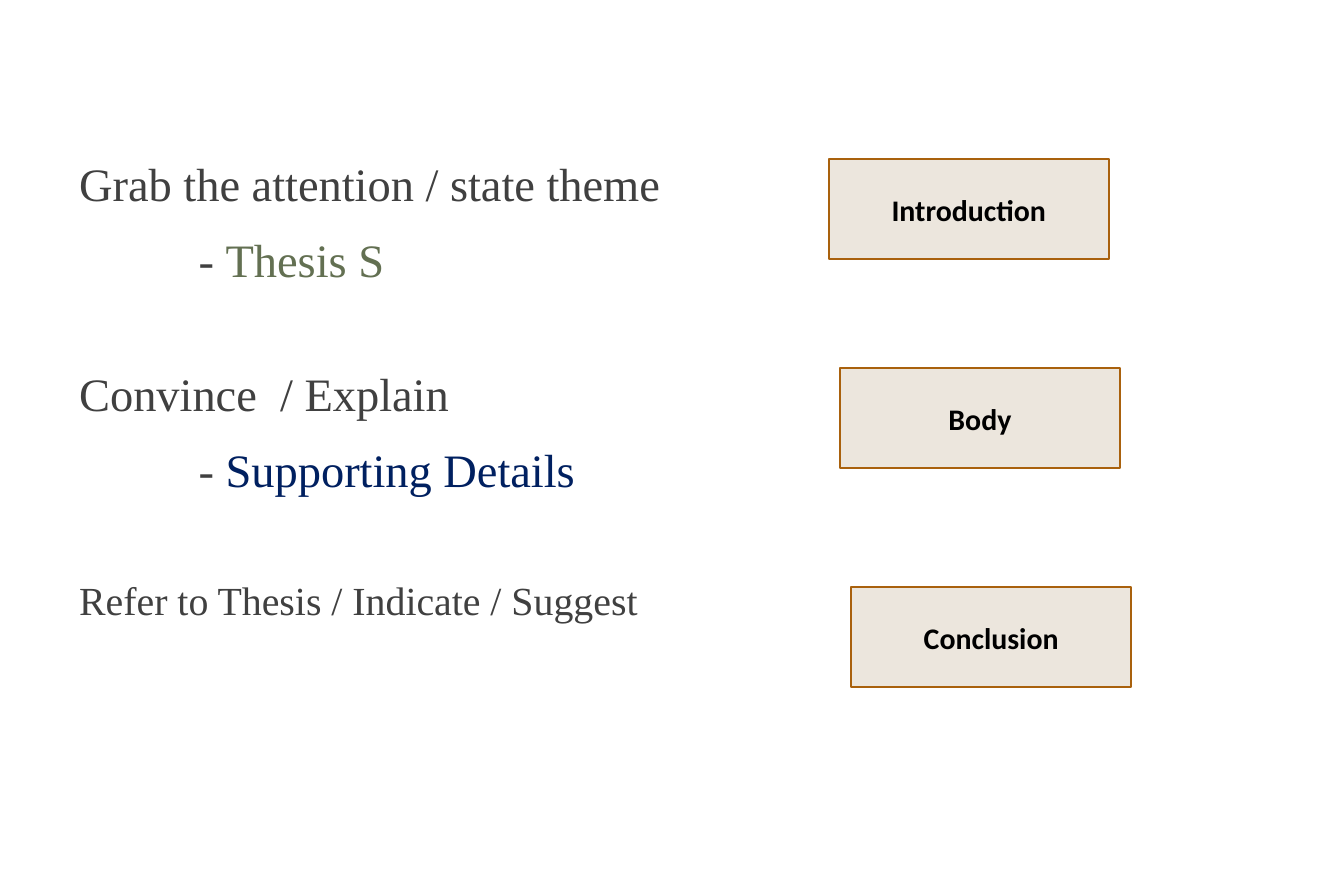
from dataclasses import dataclass

from lxml.etree import SubElement
from pptx import Presentation
from pptx.dml.color import RGBColor as Rgb
from pptx.enum.shapes import MSO_SHAPE as Shape
from pptx.enum.text import MSO_ANCHOR as Anchor, MSO_AUTO_SIZE as Fit, PP_ALIGN as Align
from pptx.oxml.ns import qn
from pptx.slide import Slide
from pptx.text.text import Font
from pptx.util import Inches, Pt

HEX = {"text": "404040", "thesis": "637052", "detail": "002060",
       "fill": "ECE6DD", "edge": "A9610D", "label": "000000"}

# Grid of 120 columns by 90 rows
WIDTH, HEIGHT = Inches(11.25), Inches(7.5)
COL, ROW = WIDTH / 120, HEIGHT / 90


@dataclass
class Point:
    text: str
    size: int = 28
    sub: str = ""
    tint: str = "text"


@dataclass
class Box:
    label: str
    col: int
    row: int


POINTS = [
    Point("Grab the attention / state theme", sub="Thesis S", tint="thesis"),
    Point("Convince  / Explain", sub="Supporting Details", tint="detail"),
    Point("Refer to Thesis / Indicate / Suggest", size=24),
]
BOXES = [Box("Introduction", 74, 16), Box("Body", 75, 37), Box("Conclusion", 76, 59)]


def area(col: float, row: float, wide: float, high: float) -> tuple[int, ...]:
    return round(col * COL), round(row * ROW), round(wide * COL), round(high * ROW)


def style(font: Font, name: str, size: int, tint: str) -> None:
    font.name, font.size = name, Pt(size)
    font.color.rgb = Rgb.from_string(HEX[tint])


def fill_body(slide: Slide) -> None:
    body = slide.placeholders[1]
    body.left, body.top, body.width, body.height = area(6, 9, 108, 71.4)
    frame = body.text_frame
    frame.auto_size, frame.vertical_anchor = Fit.NONE, Anchor.TOP
    frame.margin_left = frame.margin_right = 0
    frame.margin_top = Inches(0.6)

    # Each point, followed by its indented sub-point
    lines = []
    for point in POINTS:
        lines.append((point.text, "", point, 0.1, 50.5))
        if point.sub:
            lines.append(("- ", point.sub, point, 1.1, 15.5))

    for i, (text, tail, point, left, gap) in enumerate(lines):
        para = frame.add_paragraph() if i else frame.paragraphs[0]
        para.text = text
        props = para._p.get_or_add_pPr()
        props.set("marL", str(Inches(left)))
        props.set("indent", "0")
        SubElement(props, qn("a:buNone"))
        para.line_spacing = 0.9
        para.space_before, para.space_after = Pt(gap if i else 0), Pt(0)
        style(para.runs[0].font, "Times New Roman", point.size, "text")
        if tail:
            run = para.add_run()
            run.text = tail
            style(run.font, "Times New Roman", point.size, point.tint)


def draw_box(slide: Slide, box: Box) -> None:
    rect = slide.shapes.add_shape(Shape.RECTANGLE, *area(box.col, box.row, 25, 10))
    rect.shadow.inherit = False
    rect.fill.solid()
    rect.fill.fore_color.rgb = Rgb.from_string(HEX["fill"])
    rect.line.color.rgb = Rgb.from_string(HEX["edge"])
    rect.line.width = Pt(1.25)
    frame = rect.text_frame
    frame.text, frame.vertical_anchor = box.label, Anchor.MIDDLE
    para = frame.paragraphs[0]
    para.alignment = Align.CENTER
    font = para.runs[0].font
    style(font, "Calibri", 18, "label")
    font.bold = True


def main() -> None:
    deck = Presentation()
    deck.slide_width, deck.slide_height = WIDTH, HEIGHT
    slide = deck.slides.add_slide(deck.slide_layouts[1])

    # The slide has no title
    title = slide.shapes.title.element
    title.getparent().remove(title)

    fill_body(slide)
    for box in BOXES:
        draw_box(slide, box)
    deck.save("out.pptx")


if __name__ == "__main__":
    main()
